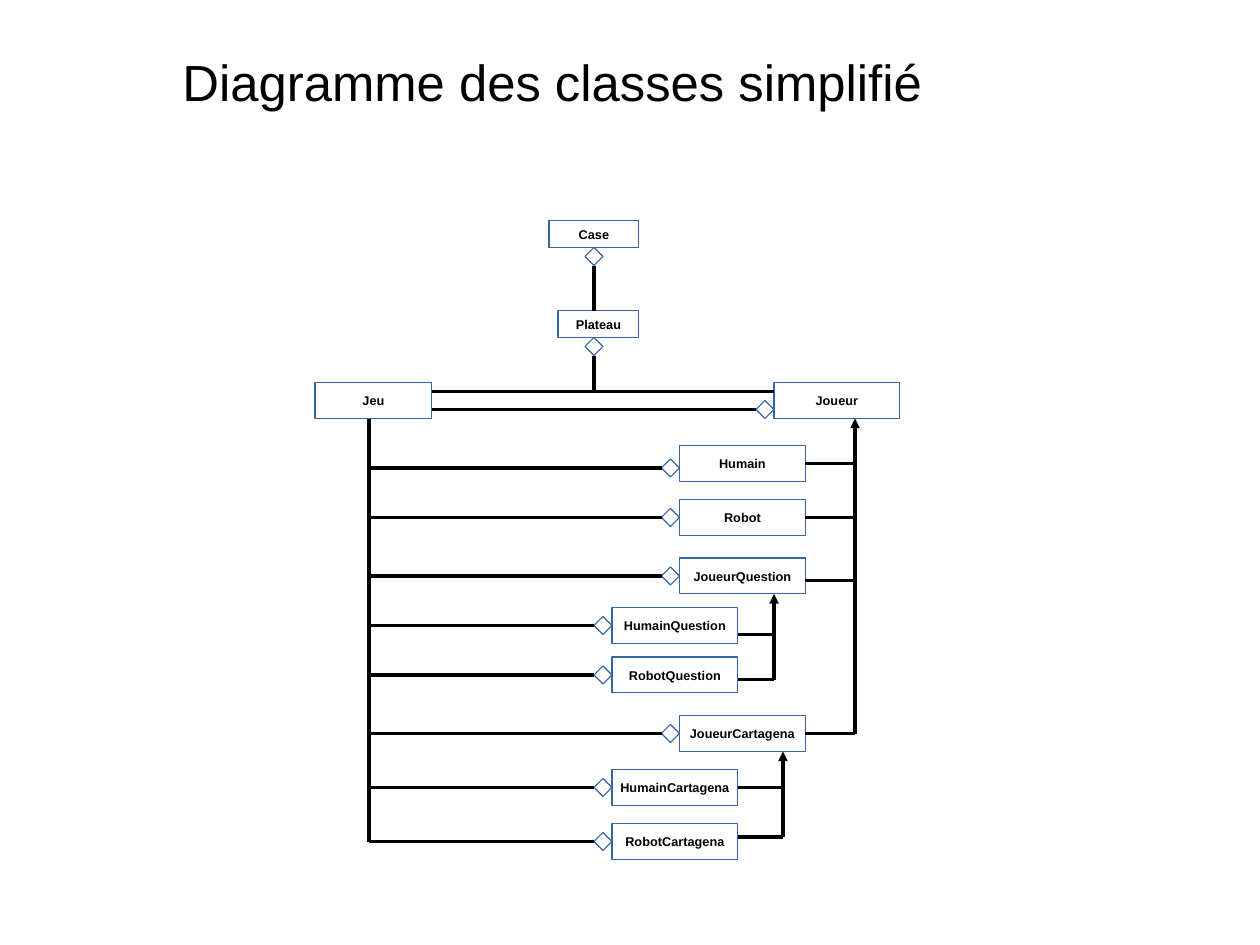
from lxml import etree
from pptx import Presentation, util as u
from pptx.dml.color import RGBColor
from pptx.enum import shapes, text
from pptx.oxml import ns

BLACK = RGBColor(0x00, 0x00, 0x00)
WHITE = RGBColor(0xFF, 0xFF, 0xFF)
BLUE = RGBColor(0x34, 0x65, 0xA4)
FONT = "Arial"

DIAMOND = 0.4
CLASS_WIDTH, CLASS_HEIGHT = 2.8, 0.8
TRUNK_X = 8.2
JOUEUR_X, QUESTION_X, CARTAGENA_X = 19, 17.2, 17.4

SUBCLASSES = [
    ("Humain", 15.1, 9.9, 10.4, 10.3, JOUEUR_X),
    ("Robot", 15.1, 11.1, 11.5, 11.5, JOUEUR_X),
    ("JoueurQuestion", 15.1, 12.4, 12.8, 12.9, JOUEUR_X),
    ("HumainQuestion", 13.6, 13.5, 13.9, 14.1, QUESTION_X),
    ("RobotQuestion", 13.6, 14.6, 15, 15.1, QUESTION_X),
    ("JoueurCartagena", 15.1, 15.9, 16.3, 16.3, JOUEUR_X),
    ("HumainCartagena", 13.6, 17.1, 17.5, 17.5, CARTAGENA_X),
    ("RobotCartagena", 13.6, 18.3, 18.7, 18.6, CARTAGENA_X),
]
INHERITANCE = [
    (JOUEUR_X, 16.3, 9.3),
    (QUESTION_X, 15.1, 13.2),
    (CARTAGENA_X, 18.6, 16.7),
]


class ClassDiagram:
    def __init__(self, slide):
        self.slide = slide
        self.nodes = []

    def label(self, frame, words, size, bold, align):
        paragraph = frame.paragraphs[0]
        paragraph.alignment = align
        run = paragraph.add_run()
        run.text = words
        run.font.name = FONT
        run.font.size = u.Pt(size)
        run.font.bold = bold
        run.font.color.rgb = BLACK

    def title(self, words, left, top, width, height):
        heading = self.slide.shapes.title
        heading.left, heading.top = u.Cm(left), u.Cm(top)
        heading.width, heading.height = u.Cm(width), u.Cm(height)
        frame = heading.text_frame
        frame.auto_size = text.MSO_AUTO_SIZE.NONE
        frame.vertical_anchor = text.MSO_ANCHOR.TOP
        self.label(frame, words, 32, False, text.PP_ALIGN.LEFT)

    def node(self, kind, left, top, width, height):
        node = self.slide.shapes.add_shape(
            kind, u.Cm(left), u.Cm(top), u.Cm(width), u.Cm(height))
        node.shadow.inherit = False
        node.fill.solid()
        node.fill.fore_color.rgb = WHITE
        node.line.color.rgb = BLUE
        node.line.width = u.Pt(0)
        self.nodes.append(node)
        return node

    def class_box(self, name, left, top, width=CLASS_WIDTH, height=CLASS_HEIGHT):
        box = self.node(shapes.MSO_SHAPE.RECTANGLE, left, top, width, height)
        frame = box.text_frame
        frame.word_wrap = False
        frame.vertical_anchor = text.MSO_ANCHOR.MIDDLE
        self.label(frame, name, 8, True, text.PP_ALIGN.CENTER)

    def aggregation(self, left, top):
        self.node(shapes.MSO_SHAPE.DIAMOND, left, top, DIAMOND, DIAMOND)

    def join(self, connect, x, y):
        for node in self.nodes:
            middle_x = node.left + node.width / 2
            middle_y = node.top + node.height / 2
            sides = [(middle_x, node.top), (node.left, middle_y),
                     (middle_x, node.top + node.height),
                     (node.left + node.width, middle_y)]
            for site, (side_x, side_y) in enumerate(sides):
                if max(abs(side_x - u.Cm(x)), abs(side_y - u.Cm(y))) < u.Cm(0.01):
                    connect(node, site)
                    return

    def link(self, x1, y1, x2, y2, arrow=False):
        link = self.slide.shapes.add_connector(
            shapes.MSO_CONNECTOR.STRAIGHT, u.Cm(x1), u.Cm(y1), u.Cm(x2), u.Cm(y2))
        link.line.color.rgb = BLACK
        link.line.width = u.Pt(0)
        properties = link._element.spPr
        if arrow:
            outline = properties.find(ns.qn("a:ln"))
            etree.SubElement(outline, ns.qn("a:tailEnd"), type="triangle")
        etree.SubElement(properties, ns.qn("a:effectLst"))
        self.join(link.begin_connect, x1, y1)
        self.join(link.end_connect, x2, y2)


def main():
    deck = Presentation()
    deck.slide_width, deck.slide_height = u.Cm(28), u.Cm(21)
    diagram = ClassDiagram(deck.slides.add_slide(deck.slide_layouts[5]))
    diagram.title("Diagramme des classes simplifié", 3.8, 1, 19.2, 1.53)

    diagram.class_box("Case", 12.2, 4.9, 2, 0.6)
    diagram.class_box("Plateau", 12.4, 6.9, 1.8, 0.6)
    diagram.class_box("Jeu", 7, 8.5, 2.6)
    diagram.class_box("Joueur", 17.2, 8.5)
    for left, top in [(13, 5.5), (13, 7.5), (16.8, 8.9)]:
        diagram.aggregation(left, top)
    diagram.link(13.2, 5.9, 13.2, 6.9)
    diagram.link(13.2, 7.9, 13.2, 8.7)
    diagram.link(9.6, 8.7, 17.2, 8.7)
    diagram.link(9.6, 9.1, 16.8, 9.1)
    diagram.link(TRUNK_X, 9.3, TRUNK_X, 18.7)

    for name, left, top, owner_y, parent_y, parent_x in SUBCLASSES:
        diagram.class_box(name, left, top)
        diagram.aggregation(left - DIAMOND, owner_y - DIAMOND / 2)
        diagram.link(TRUNK_X, owner_y, left - DIAMOND, owner_y)
        diagram.link(left + CLASS_WIDTH, parent_y, parent_x, parent_y)

    for x, bottom, top in INHERITANCE:
        diagram.link(x, bottom, x, top, arrow=True)

    deck.save("out.pptx")


if __name__ == "__main__":
    main()
